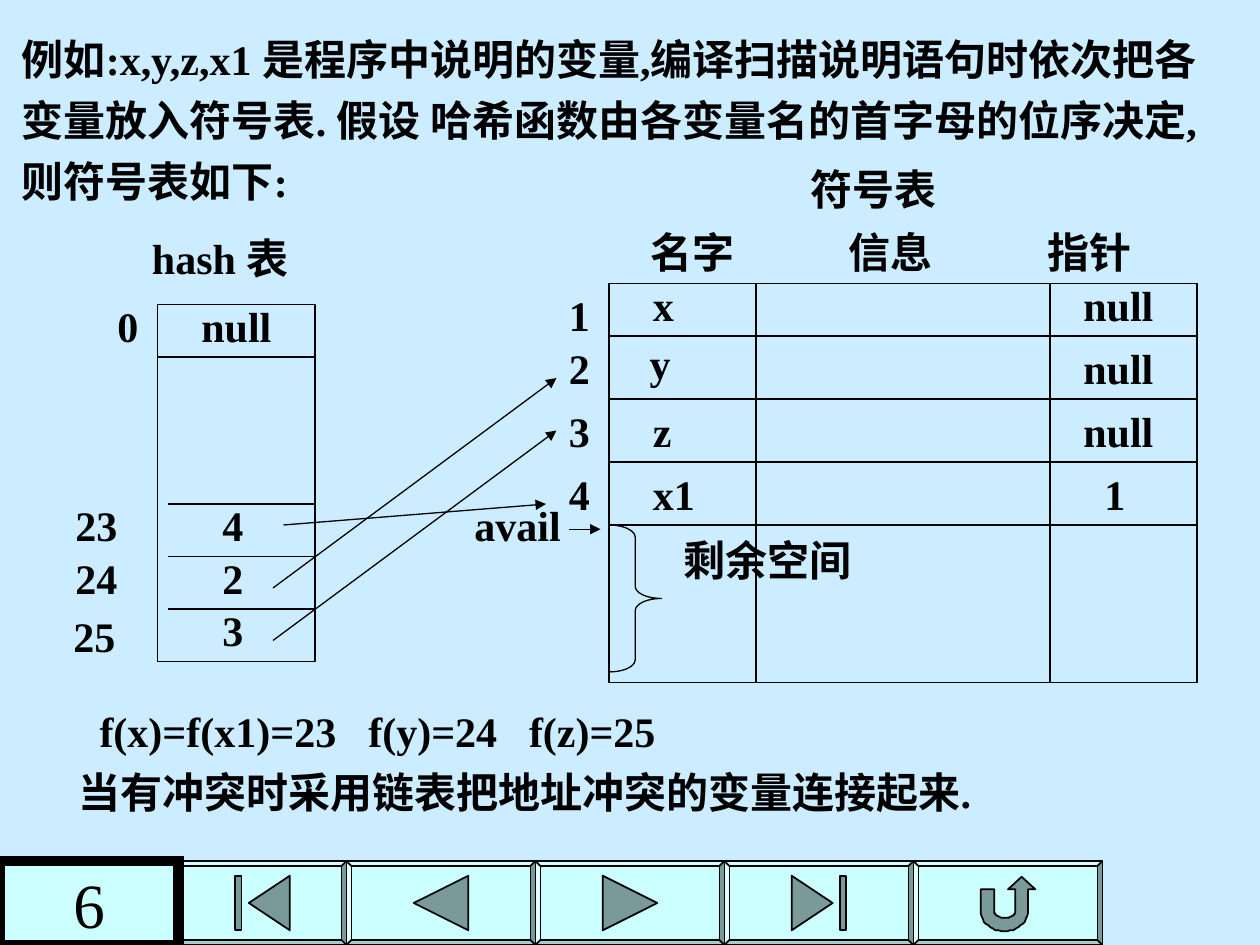
"""Build a slide that shows a hash table pointing into a chained symbol table."""
from math import cos, pi, sin

from lxml.etree import SubElement
from pptx import Presentation
from pptx.dml.color import RGBColor
from pptx.enum.shapes import MSO_CONNECTOR as Connector, MSO_SHAPE as Shape
from pptx.enum.text import MSO_ANCHOR as Anchor, PP_ALIGN as Align
from pptx.oxml.ns import qn
from pptx.util import Pt

PX = 7620
FONT = "Times New Roman"
BLACK = RGBColor(0x00, 0x00, 0x00)
SKY = RGBColor(0xCC, 0xEC, 0xFF)
BUTTON = RGBColor(0xCC, 0xFF, 0xFF)
ICON = RGBColor(0x7A, 0x99, 0x99)

INTRO = [
    "例如:x,y,z,x1 是程序中说明的变量,编译扫描说明语句时依次把各",
    "变量放入符号表. 假设 哈希函数由各变量名的首字母的位序决定,",
    "则符号表如下:",
]
HASH_FRAME = (150, 290, 150, 340)
SYMBOL_FRAME = (580, 270, 560, 380)
LABELS = [
    ("符号表", 760, 150, 150),
    ("名字", 608, 210, 110),
    ("信息", 796, 210, 110),
    ("指针", 986, 210, 110),
    ("hash 表", 133, 216, 170),
    ("0", 100, 280, 45),
    ("null", 180, 280, 97),
    ("avail", 440, 470, 107),
    ("剩余空间", 639, 503, 190),
    ("f(x)=f(x1)=23", 83, 666, 250),
    ("f(y)=24", 339, 666, 150),
    ("f(z)=25", 492, 666, 150),
    ("当有冲突时采用链表把地址冲突的变量连接起来.", 63, 724, 900),
]
HASH_ROWS = [("23", 60, 470, "4", 470), ("24", 60, 520, "2", 520), ("25", 58, 576, "3", 570)]
SYMBOL_ROWS = [
    ("1", 270, "x", 610, 260, "null", 1020, 260),
    ("2", 320, "y", 607, 316, "null", 1020, 320),
    ("3", 380, "z", 610, 380, "null", 1020, 380),
    ("4", 440, "x1", 610, 440, "1", 1040, 440),
]
HASH_RULES = [(150, 340), (160, 480), (160, 530), (160, 580)]
SYMBOL_RULES = [320, 380, 440, 500]
SYMBOL_COLUMNS = [720, 1000]
ARROWS = [
    (542, 504, 572, 504),
    (270, 500, 520, 480),
    (260, 560, 530, 360),
    (260, 610, 530, 410),
]


def arc(center_x, radius_x, radius_y, start, end, steps=24):
    angles = [start + (end - start) * step / steps for step in range(steps + 1)]
    return [(center_x + radius_x * cos(a), 8 + radius_y * sin(a)) for a in angles]


def mirror(outline):
    return [(-x, y) for x, y in outline]


PREVIOUS = [(-26, 0), (26, -26), (26, 26)]
FIRST = [(-13, 0), (26, -26), (26, 26)]
BAR = [(-26, -26), (-20, -26), (-20, 26), (-26, 26)]
RETURN = (
    [(-26, -13), (-13, -13)]
    + arc(-3, 10, 6, pi, 0)
    + [(7, -13), (0, -13), (13, -25), (26, -13), (19, -13)]
    + arc(-3.5, 22.5, 19, 0, pi)
)
BUTTONS = [
    (170, 160, [FIRST, BAR]),
    (330, 180, [PREVIOUS]),
    (510, 180, [mirror(PREVIOUS)]),
    (690, 180, [mirror(FIRST), mirror(BAR)]),
    (870, 180, [RETURN]),
]


def style_text(frame, size=24, bold=True, align=Align.LEFT):
    for index, para in enumerate(frame.paragraphs):
        para.alignment = align
        para.space_before = Pt(6 if index else 0)
        for span in para.runs:
            span.font.name = FONT
            span.font.size = Pt(size)
            span.font.bold = bold
            span.font.color.rgb = BLACK


def add_text(slide, text, left, top, width, height=60):
    box = slide.shapes.add_textbox(left * PX, top * PX, width * PX, height * PX)
    frame = box.text_frame
    frame.word_wrap = True
    frame.margin_right = 0
    frame.text = text
    style_text(frame)


def paint(shape, fill, width):
    shape.shadow.inherit = False
    if fill is None:
        shape.fill.background()
    else:
        shape.fill.solid()
        shape.fill.fore_color.rgb = fill
    shape.line.color.rgb = BLACK
    shape.line.width = Pt(width)


def add_shape(slide, kind, frame, fill, width):
    shape = slide.shapes.add_shape(kind, *(length * PX for length in frame))
    paint(shape, fill, width)
    return shape


def add_line(slide, *ends, arrow=False):
    line = slide.shapes.add_connector(Connector.STRAIGHT, *(end * PX for end in ends))
    line.line.color.rgb = BLACK
    line.line.width = Pt(0.75)
    if arrow:
        SubElement(line.line._get_or_add_ln(), qn("a:tailEnd"), type="triangle")
    SubElement(line._element.spPr, qn("a:effectLst"))


def add_button(slide, left, width, outlines):
    face = add_shape(slide, Shape.BEVEL, (left, 820, width, 80), BUTTON, 1)
    face.adjustments[0] = 0.06
    for outline in outlines:
        points = [(left + width / 2 + x, 860 + y) for x, y in outline]
        builder = slide.shapes.build_freeform(*points[0], scale=PX)
        builder.add_line_segments(points[1:], close=True)
        paint(builder.convert_to_shape(), ICON, 1)


def add_hash_table(slide):
    left, _, width, _ = HASH_FRAME
    add_shape(slide, Shape.RECTANGLE, HASH_FRAME, None, 0.75)
    for start, y in HASH_RULES:
        add_line(slide, start, y, left + width, y)
    for index, index_left, index_top, entry, entry_top in HASH_ROWS:
        add_text(slide, index, index_left, index_top, 65)
        add_text(slide, entry, 200, entry_top, 45)


def add_symbol_table(slide):
    left, top, width, height = SYMBOL_FRAME
    add_shape(slide, Shape.RECTANGLE, SYMBOL_FRAME, None, 0.75)
    for y in SYMBOL_RULES:
        add_line(slide, left, y, left + width, y)
    for x in SYMBOL_COLUMNS:
        add_line(slide, x, top, x, top + height)
    for index, index_top, name, name_left, name_top, link, link_left, link_top in SYMBOL_ROWS:
        add_text(slide, index, 530, index_top, 44)
        add_text(slide, name, name_left, name_top, 65)
        add_text(slide, link, link_left, link_top, 97)
    brace = add_shape(slide, Shape.RIGHT_BRACE, (left, 500, 50, 140), None, 0.75)
    brace.adjustments[0] = 0.23


def add_page_number(slide):
    number = add_shape(slide, Shape.RECTANGLE, (0, 820, 170, 80), BUTTON, 6)
    SubElement(number.line._get_or_add_ln(), qn("a:miter"), lim="800000")
    number.text_frame.text = "6"
    number.text_frame.vertical_anchor = Anchor.MIDDLE
    style_text(number.text_frame, size=36, bold=False, align=Align.CENTER)


def main():
    deck = Presentation()
    deck.slide_width, deck.slide_height = 1200 * PX, 900 * PX
    slide = deck.slides.add_slide(deck.slide_layouts[6])
    slide.background.fill.solid()
    slide.background.fill.fore_color.rgb = SKY

    for button in BUTTONS:
        add_button(slide, *button)
    add_text(slide, "\n".join(INTRO), 9, 26, 1190, 176)
    add_hash_table(slide)
    add_symbol_table(slide)
    for label in LABELS:
        add_text(slide, *label)
    for ends in ARROWS:
        add_line(slide, *ends, arrow=True)
    add_page_number(slide)
    deck.save("out.pptx")


if __name__ == "__main__":
    main()
